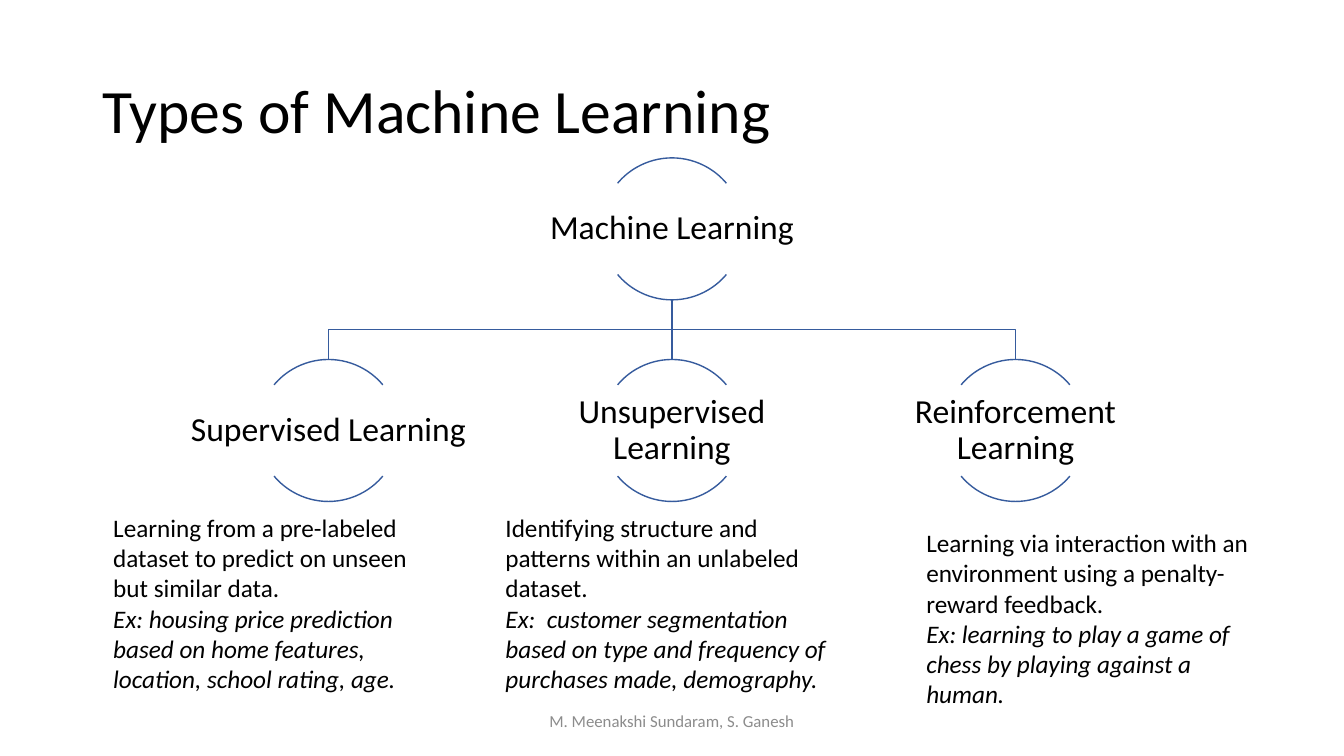
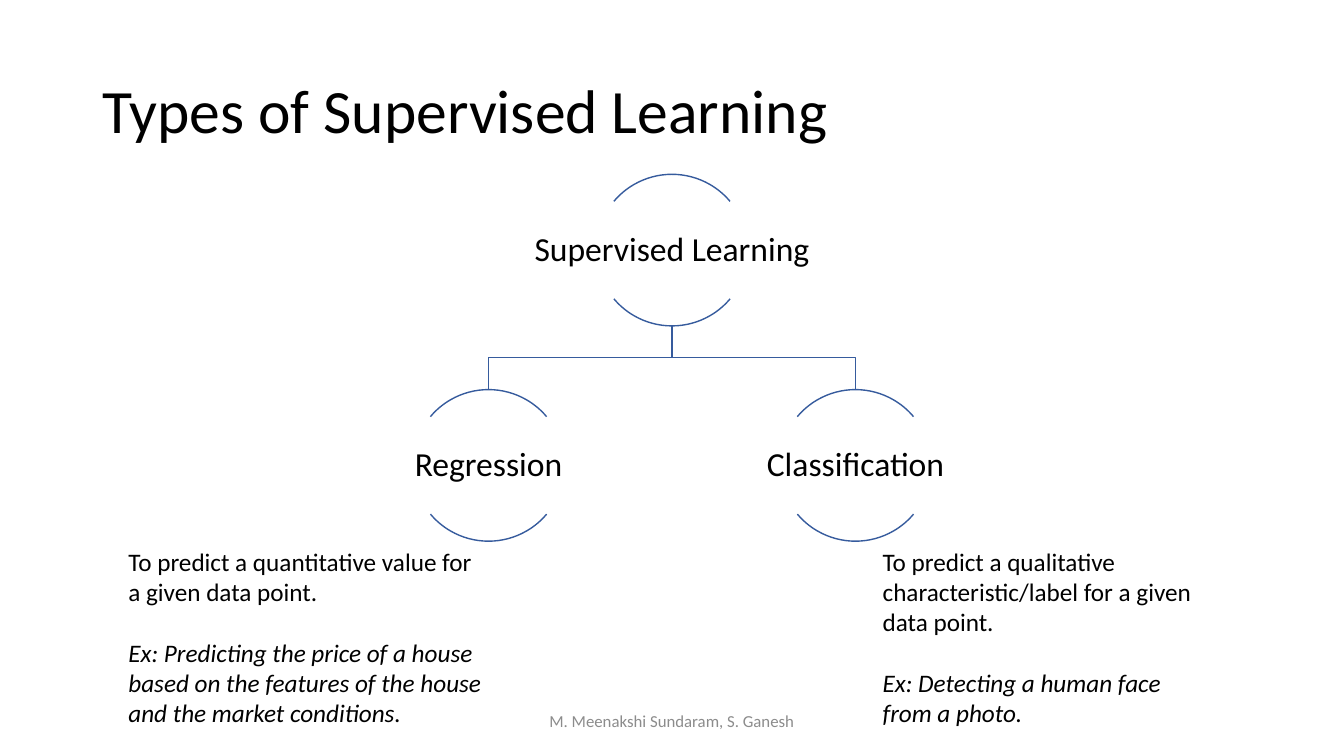
from pptx import Presentation
from pptx.util import Inches, Pt
from pptx.dml.color import RGBColor
from pptx.enum.shapes import MSO_SHAPE as Shape, MSO_CONNECTOR as Link
from pptx.enum.text import PP_ALIGN as Align, MSO_ANCHOR as Anchor
from pptx.oxml import parse_xml
from pptx.oxml.ns import nsdecls

BLACK = RGBColor(0x00, 0x00, 0x00)
BLUE = RGBColor(0x36, 0x5B, 0x9D)
GRAY = RGBColor(0x8C, 0x8C, 0x8C)
FONT = "Calibri"
FOOT = "M. Meenakshi Sundaram, S. Ganesh"

# Grid of 160 columns by 90 rows, with square cells
COLS, ROWS = 160, 90
CELL = Inches(7.5) / ROWS
MID = COLS / 2

# Tree sizes, as shares of the ring's diameter
GAP, PITCH = 0.42, 2.42
LABEL_W, LABEL_H = 2, 0.64
# Start and end of the ring's top and bottom arcs
ARCS = ((132, 192), (24, 84))


def cells(*nums):
    return [round(n * CELL) for n in nums]


class Deck:
    def __init__(self):
        self.prs = Presentation()
        self.prs.slide_width, self.prs.slide_height = cells(COLS, ROWS)

    def page(self, title):
        """Start a slide with the shared title and footer."""
        self.shapes = self.prs.slides.add_slide(self.prs.slide_layouts[6]).shapes
        self.text([title], (11, 4.8, 138, 17.4), 44, anchor=Anchor.MIDDLE, lead=0.9)
        self.text([FOOT], (53, 83.4, 54, 4.8), 12, GRAY, Align.CENTER, Anchor.MIDDLE)

    def text(self, lines, box, size, color=BLACK, align=Align.LEFT,
             anchor=Anchor.TOP, lead=1.0, inset=None):
        frame = self.shapes.add_textbox(*cells(*box)).text_frame
        frame.word_wrap = True
        frame.vertical_anchor = anchor
        if inset is not None:
            frame.margin_left = frame.margin_right = inset
            frame.margin_top = frame.margin_bottom = inset
        frame.text = "\n".join(lines)
        for para in frame.paragraphs:
            para.alignment = align
            para.line_spacing = lead
            font = para.runs[0].font
            font.name, font.size = FONT, Pt(size)
            font.color.rgb = color
        return frame

    def note(self, fact, case, x, y, w=42, gap=0):
        """Write a definition with an example in italics below it."""
        last = self.text([fact, case], (x, y, w, 23), 18).paragraphs[-1]
        last.space_before = Pt(gap)
        last.runs[0].font.italic = True

    def ink(self, item):
        item.line.color.rgb = BLUE
        item.line.width = Pt(1)

    def branch(self, top, end, x, drop):
        """Link the root's foot to the head of a child."""
        if x == MID:
            line = self.shapes.add_connector(Link.STRAIGHT, *cells(MID, top, x, end))
            line._element.spPr.append(parse_xml(f"<a:effectLst {nsdecls('a')}/>"))
        else:
            bend = top + drop / 2
            path = self.shapes.build_freeform(*cells(MID, top))
            path.add_line_segments(
                [cells(MID, bend), cells(x, bend), cells(x, end)], close=False)
            line = path.convert_to_shape()
            line.fill.background()
            line.shadow.inherit = False
        self.ink(line)

    def node(self, name, x, top, size):
        """Draw a label between the two arcs of a ring."""
        for ends in ARCS:
            arc = self.shapes.add_shape(
                Shape.ARC, *cells(x - size / 2, top, size, size))
            arc.adjustments[0], arc.adjustments[1] = ends
            arc.fill.background()
            arc.shadow.inherit = False
            self.ink(arc)
        wide, high = LABEL_W * size, LABEL_H * size
        box = (x - wide / 2, top + (size - high) / 2, wide, high)
        self.text([name], box, 24, align=Align.CENTER, anchor=Anchor.MIDDLE,
                  lead=0.9, inset=Inches(0.02))

    def tree(self, root, kids, top, size):
        drop = GAP * size
        foot = top + size
        row = foot + drop
        places = [MID + (i - (len(kids) - 1) / 2) * PITCH * size
                  for i in range(len(kids))]
        for x in places:
            self.branch(foot, row, x, drop)
        self.node(root, MID, top, size)
        for name, x in zip(kids, places):
            self.node(name, x, row, size)


def main():
    deck = Deck()

    # Types of machine learning
    deck.page("Types of Machine Learning")
    deck.tree("Machine Learning",
              ["Supervised Learning", "Unsupervised Learning",
               "Reinforcement Learning"], 18.8, 16.9)
    deck.note("Learning from a pre-labeled dataset to predict on unseen but similar data.",
              "Ex: housing price prediction based on home features, location, "
              "school rating, age.", 12.3, 60.4)
    deck.note("Identifying structure and patterns within an unlabeled dataset.",
              "Ex:  customer segmentation based on type and frequency of "
              "purchases made, demography.", 59, 60.4)
    deck.note("Learning via interaction with an environment using a "
              "penalty-reward feedback.",
              "Ex: learning to play a game of chess by playing against a human.",
              109.1, 62.2)

    # Types of supervised learning
    deck.page("Types of Supervised Learning")
    deck.tree("Supervised Learning", ["Regression", "Classification"], 20.75, 18.05)
    deck.note("To predict a quantitative value for a given data point.",
              "Ex: Predicting the price of a house based on the features of "
              "the house and the market conditions.", 14.1, 64.4, 44.4, gap=22)
    deck.note("To predict a qualitative characteristic/label for a given data point.",
              "Ex: Detecting a human face from a photo.", 103.9, 64.4, gap=22)

    deck.prs.save("out.pptx")


if __name__ == "__main__":
    main()
